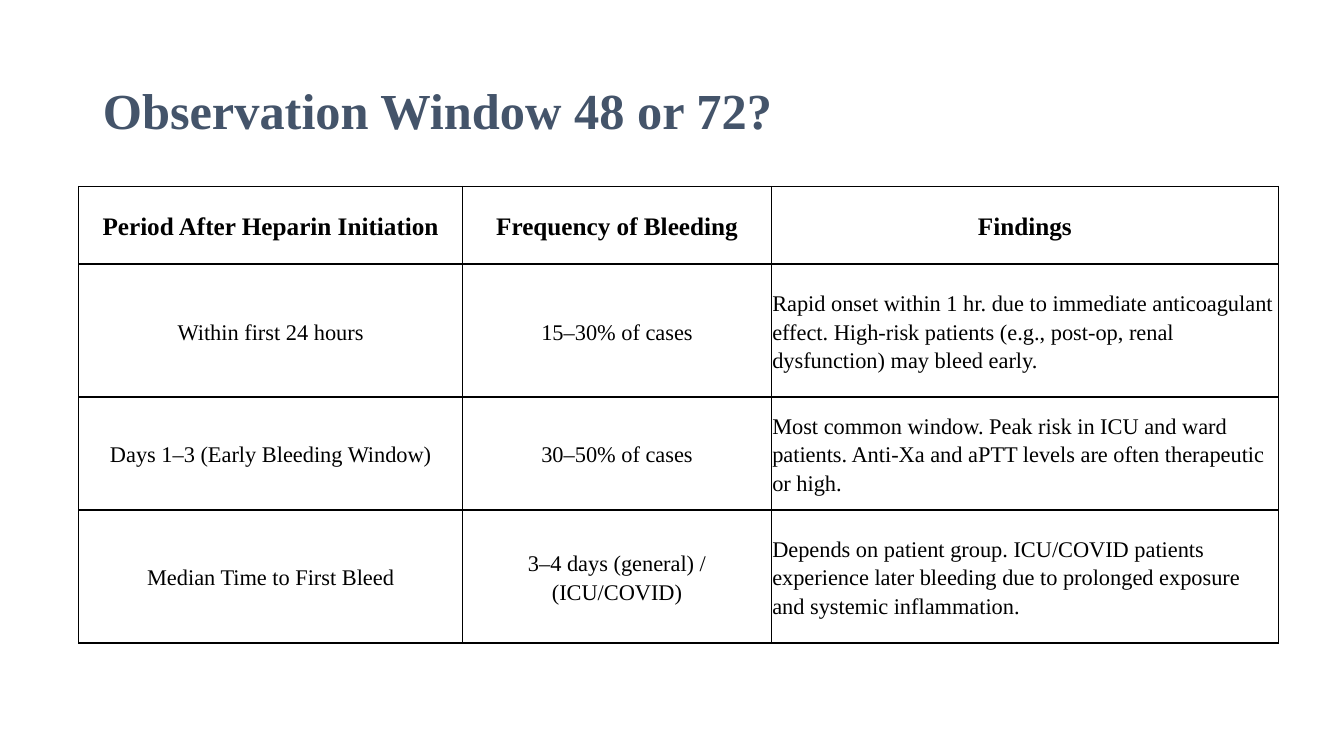
from lxml import etree
from pptx import Presentation
from pptx import util as u
from pptx.dml import color
from pptx.enum import text
from pptx.oxml import ns


def rgb(hex_code):
    return color.RGBColor.from_string(hex_code)


def apply(target, values):
    for name, value in values.items():
        setattr(target, name, value)


class SlideBuilder:
    font_name = "Times New Roman"
    ink = "000000"
    title_ink = "44546A"
    paper = "FFFFFF"
    inset = u.Inches(0.01)

    def __init__(self, deck):
        self.slide = deck.slides.add_slide(deck.slide_layouts[5])

    def set_text(self, frame, wording, ink, font, paragraph):
        frame.text = wording
        line = frame.paragraphs[0]
        apply(line, paragraph)
        run_font = line.runs[0].font
        apply(run_font, {"name": self.font_name, **font})
        run_font.color.rgb = rgb(ink)

    def title(self, wording, left, top, width, height):
        heading = self.slide.shapes.title
        apply(heading, {"left": u.Inches(left), "top": u.Inches(top),
                        "width": u.Inches(width), "height": u.Inches(height)})
        apply(heading.text_frame, {"vertical_anchor": text.MSO_ANCHOR.MIDDLE,
                                   "word_wrap": True})
        self.set_text(heading.text_frame, wording, self.title_ink,
                      {"size": u.Pt(36), "bold": True},
                      {"alignment": text.PP_ALIGN.LEFT, "line_spacing": 0.9})

    def borders(self, cell):
        properties = cell._tc.get_or_add_tcPr()
        for side in ("lnL", "lnR", "lnT", "lnB"):
            edge = etree.SubElement(properties, ns.qn(f"a:{side}"), w=str(u.Pt(1)))
            fill = etree.SubElement(edge, ns.qn("a:solidFill"))
            etree.SubElement(fill, ns.qn("a:srgbClr"), val=self.ink)

    def cell(self, cell, wording, is_header, centred):
        self.borders(cell)
        cell.fill.solid()
        cell.fill.fore_color.rgb = rgb(self.paper)
        apply(cell, {"vertical_anchor": text.MSO_ANCHOR.MIDDLE,
                     "margin_left": self.inset, "margin_right": self.inset,
                     "margin_top": self.inset, "margin_bottom": self.inset})
        align = text.PP_ALIGN.CENTER if centred else text.PP_ALIGN.LEFT
        self.set_text(cell.text_frame, wording, self.ink,
                      {"size": u.Pt(18 if is_header else 16), "bold": is_header},
                      {"alignment": align, "line_spacing": 1.15,
                       "space_after": u.Pt(8)})

    def table(self, rows, left, top, widths, heights):
        table = self.slide.shapes.add_table(
            len(rows), len(widths), u.Inches(left), u.Inches(top),
            u.Inches(sum(widths)), u.Inches(sum(heights))).table
        apply(table, {"first_row": False, "horz_banding": False})
        for column, width in zip(table.columns, widths):
            column.width = u.Inches(width)
        for row, height in zip(table.rows, heights):
            row.height = u.Inches(height)
        for r, row in enumerate(rows):
            for c, wording in enumerate(row):
                is_header = r == 0
                centred = is_header or c < len(widths) - 1
                self.cell(table.cell(r, c), wording, is_header, centred)


BLEEDING_PERIODS = [
    ("Period After Heparin Initiation", "Frequency of Bleeding", "Findings"),
    ("Within first 24 hours", "15–30% of cases",
     "Rapid onset within 1 hr. due to immediate anticoagulant effect. "
     "High-risk patients (e.g., post-op, renal dysfunction) may bleed early."),
    ("Days 1–3 (Early Bleeding Window)", "30–50% of cases",
     "Most common window. Peak risk in ICU and ward patients. "
     "Anti-Xa and aPTT levels are often therapeutic or high."),
    ("Median Time to First Bleed", "3–4 days (general) / (ICU/COVID)",
     "Depends on patient group. ICU/COVID patients experience later bleeding "
     "due to prolonged exposure and systemic inflammation."),
]


def main():
    deck = Presentation()
    apply(deck, {"slide_width": u.Inches(13.33), "slide_height": u.Inches(7.5)})
    builder = SlideBuilder(deck)
    builder.title("Observation Window 48 or 72?", 0.92, 0.4, 11.5, 1.45)
    builder.table(BLEEDING_PERIODS, 0.78, 1.85,
                  widths=(3.81, 3.06, 5.03), heights=(0.77, 1.32, 1.12, 1.32))
    deck.save("out.pptx")


if __name__ == "__main__":
    main()
